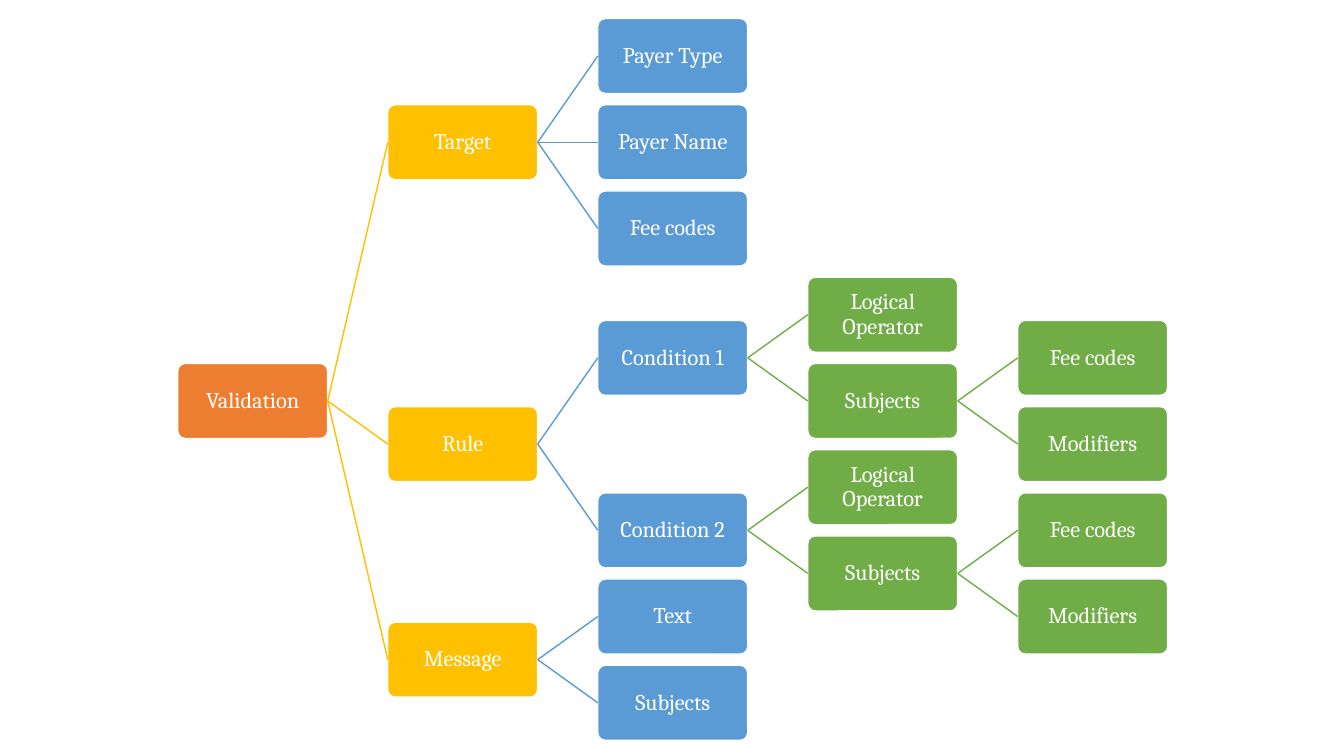
from dataclasses import dataclass

from lxml.etree import SubElement
from pptx import Presentation
from pptx.dml.color import RGBColor
from pptx.enum.shapes import MSO_CONNECTOR, MSO_SHAPE
from pptx.enum.text import MSO_ANCHOR, PP_ALIGN
from pptx.oxml.ns import qn
from pptx.shapes.autoshape import Shape
from pptx.slide import Slide
from pptx.util import Pt

BOX_WIDTH, BOX_HEIGHT = 107.1, 53.6
LEFT, COLUMN_STEP = 127, 150
FIRST_CENTRE, ROW_STEP = 40, 61.6
RIGHT_SIDE, LEFT_SIDE = 3, 1
WHITE = "FFFFFF"
LEVEL_COLOURS = ("ED7D31", "FFC000", "5B9BD5", "70AD47", "70AD47")


@dataclass(frozen=True)
class Node:
    label: str
    leaf_row: float = 0
    children: tuple["Node", ...] = ()

    @property
    def row(self) -> float:
        """A parent sits midway between its first and last child."""
        if not self.children:
            return self.leaf_row
        return (self.children[0].row + self.children[-1].row) / 2


def condition(number: int, row: float) -> Node:
    subjects = Node("Subjects", children=(
        Node("Fee codes", row + 0.5),
        Node("Modifiers", row + 1.5),
    ))
    return Node(f"Condition {number}",
                children=(Node("Logical Operator", row), subjects))


VALIDATION = Node("Validation", children=(
    Node("Target", children=(
        Node("Payer Type", 0),
        Node("Payer Name", 1),
        Node("Fee codes", 2),
    )),
    Node("Rule", children=(condition(1, 3), condition(2, 5))),
    Node("Message", children=(Node("Text", 6.5), Node("Subjects", 7.5))),
))


def colour(value: str) -> RGBColor:
    return RGBColor.from_string(value)


def add_box(slide: Slide, node: Node, level: int) -> Shape:
    top = FIRST_CENTRE + node.row * ROW_STEP - BOX_HEIGHT / 2
    shape = slide.shapes.add_shape(
        MSO_SHAPE.ROUNDED_RECTANGLE, Pt(LEFT + level * COLUMN_STEP), Pt(top),
        Pt(BOX_WIDTH), Pt(BOX_HEIGHT))
    shape.adjustments[0] = 0.1
    shape.shadow.inherit = False
    shape.fill.solid()
    shape.fill.fore_color.rgb = colour(LEVEL_COLOURS[level])
    shape.line.color.rgb = colour(WHITE)
    shape.line.width = Pt(1)

    frame = shape.text_frame
    frame.word_wrap = True
    frame.vertical_anchor = MSO_ANCHOR.MIDDLE
    frame.margin_left = frame.margin_right = Pt(2.2)
    frame.margin_top = frame.margin_bottom = Pt(2.2)
    paragraph = frame.paragraphs[0]
    paragraph.text = node.label
    paragraph.alignment = PP_ALIGN.CENTER
    paragraph.line_spacing = 0.9
    paragraph.font.name = "Cambria"
    paragraph.font.size = Pt(16)
    paragraph.font.color.rgb = colour(WHITE)
    return shape


def join(slide: Slide, parent: Shape, child: Shape, line_colour: str) -> None:
    connector = slide.shapes.add_connector(MSO_CONNECTOR.STRAIGHT, 0, 0, 0, 0)
    connector.begin_connect(parent, RIGHT_SIDE)
    connector.end_connect(child, LEFT_SIDE)
    connector.line.color.rgb = colour(line_colour)
    connector.line.width = Pt(1)
    SubElement(connector.element.spPr, qn("a:effectLst"))


def draw_tree(slide: Slide, node: Node, level: int = 0) -> Shape:
    """Draw a node with everything below it and return the node's box."""
    box = add_box(slide, node, level)
    for child in node.children:
        child_box = draw_tree(slide, child, level + 1)
        join(slide, box, child_box, LEVEL_COLOURS[level + 1])
    return box


def main() -> None:
    presentation = Presentation()
    presentation.slide_width = Pt(960)
    presentation.slide_height = Pt(540)
    slide = presentation.slides.add_slide(presentation.slide_layouts[6])
    draw_tree(slide, VALIDATION)
    presentation.save("out.pptx")


if __name__ == "__main__":
    main()
